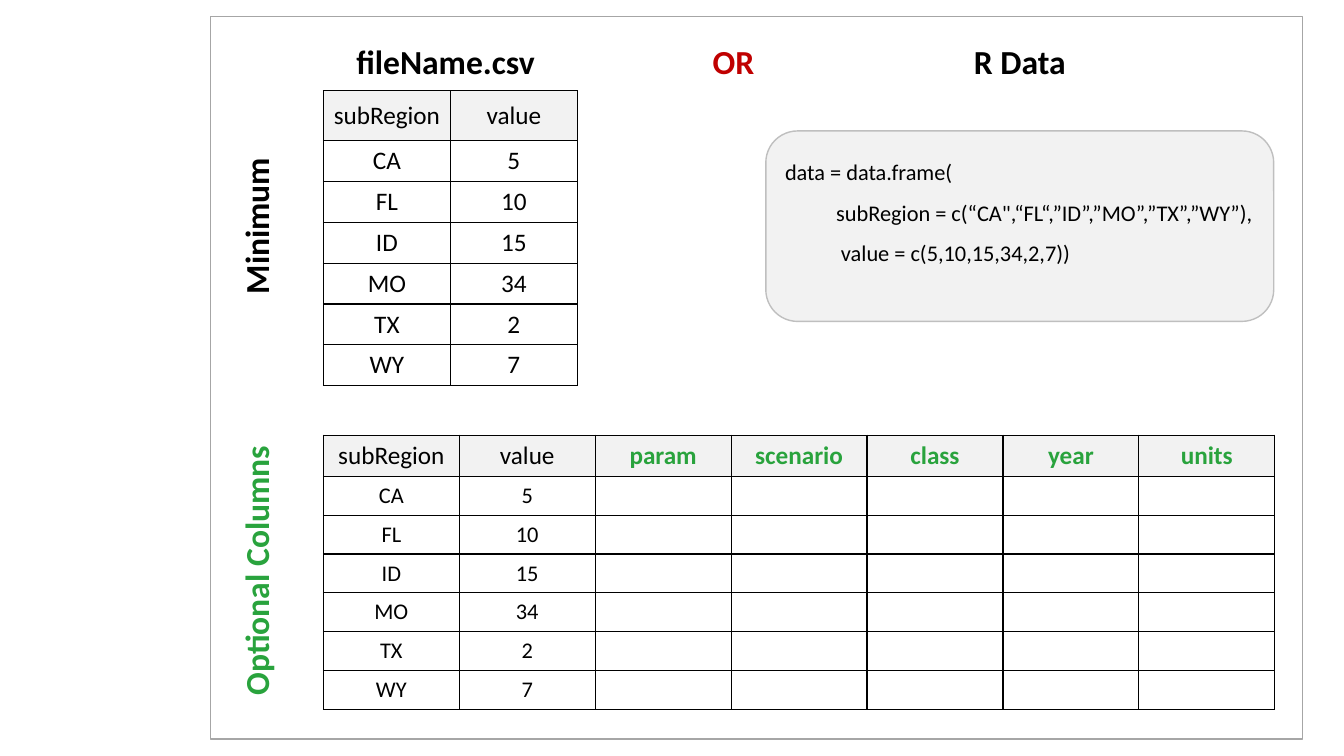
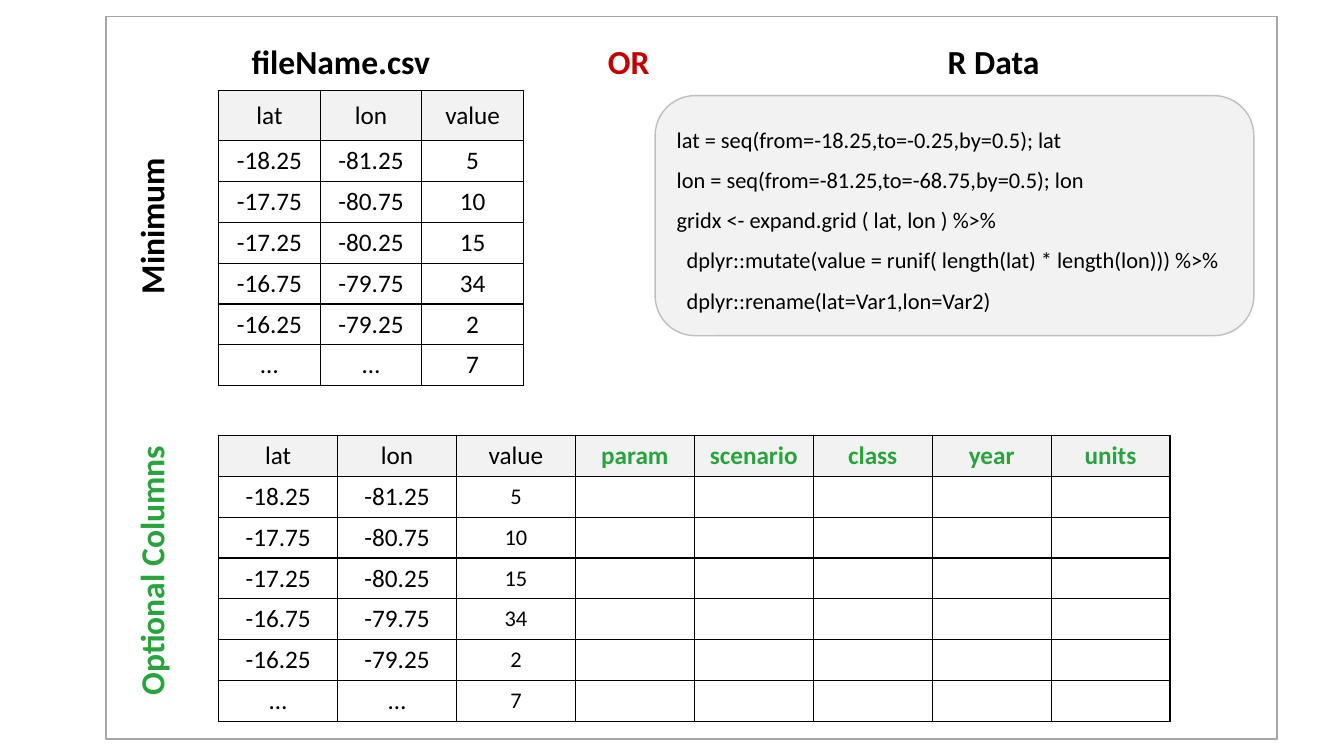
from lxml import etree
from pptx import Presentation
from pptx.dml.color import RGBColor
from pptx.enum.shapes import MSO_SHAPE
from pptx.enum.text import MSO_ANCHOR, MSO_AUTO_SIZE, PP_ALIGN
from pptx.oxml.ns import qn
from pptx.util import Cm, Pt

RECTANGLE = MSO_SHAPE.RECTANGLE
ROUNDED = MSO_SHAPE.ROUNDED_RECTANGLE
TOP = MSO_ANCHOR.TOP
MIDDLE = MSO_ANCHOR.MIDDLE
FIT_SHAPE = MSO_AUTO_SIZE.SHAPE_TO_FIT_TEXT
LEFT = PP_ALIGN.LEFT
CENTER = PP_ALIGN.CENTER

FONT = "Calibri"
BLACK, WHITE, RED, GREEN = "000000", "FFFFFF", "C00000", "29A33D"
PANEL, PANEL_EDGE, FRAME_EDGE = "F2F2F2", "BFBFBF", "A6A6A6"
BORDERS = ("a:lnL", "a:lnR", "a:lnT", "a:lnB")

HEADING = {"size": Pt(24), "bold": True}
CODE = {"size": Pt(16), "bold": False}
LARGE_CELL = {"size": Pt(18), "bold": False}
SMALL_CELL = {"size": Pt(16), "bold": False}
OPTIONAL_CELL = {"size": Pt(18), "bold": True}

FRAME_TOP, FRAME_HEIGHT = 0.41, 18.21
HEADING_WIDTH, HEADING_HEIGHT = 8.28, 1.63
TABLE_INSET = 2.84
HEADER_HEIGHT = 1.25
LARGE_ROW, SMALL_ROW = 1.03, 0.98

VALUES = ["5", "10", "15", "34", "2", "7"]
OPTIONAL_COLUMNS = ["param", "scenario", "class", "year", "units"]

REGIONS = {
    "frame": (5.31, 27.51),
    "keys": {"subRegion": ["CA", "FL", "ID", "MO", "TX", "WY"]},
    "minimum_width": 6.4,
    "r_data_left": 21.56,
    "code_box": (19.3, 3.3, 12.8, 4.8),
    "code": [
        (0, "data = data.frame("),
        (1.29, 'subRegion = c(“CA",“FL“,”ID”,”MO”,”TX”,”WY”),'),
        (1.41, "value = c(5,10,15,34,2,7))"),
    ],
    "key_style": SMALL_CELL,
    "row_height": SMALL_ROW,
}
GRID = {
    "frame": (2.67, 29.51),
    "keys": {
        "lat": ["-18.25", "-17.75", "-17.25", "-16.75", "-16.25", "…"],
        "lon": ["-81.25", "-80.75", "-80.25", "-79.75", "-79.25", "…"],
    },
    "minimum_width": 7.68,
    "r_data_left": 20.9,
    "code_box": (16.51, 2.41, 15.09, 6.05),
    "code": [
        (0, "lat = seq(from=-18.25,to=-0.25,by=0.5); lat"),
        (0, "lon = seq(from=-81.25,to=-68.75,by=0.5); lon"),
        (0, "gridx <- expand.grid ( lat, lon ) %>%"),
        (0.25, "dplyr::mutate(value = runif( length(lat) * length(lon))) %>%"),
        (0.25, "dplyr::rename(lat=Var1,lon=Var2)"),
    ],
    "key_style": LARGE_CELL,
    "row_height": LARGE_ROW,
}


def rgb(color):
    return RGBColor.from_string(color)


def write(paragraph, text, style, color=BLACK, align=CENTER):
    paragraph.alignment = align
    run = paragraph.add_run()
    run.text = text
    run.font.name = FONT
    run.font.color.rgb = rgb(color)
    for attribute, value in style.items():
        setattr(run.font, attribute, value)


def add_heading(slide, text, left, top, width=HEADING_WIDTH, color=BLACK, rotation=0):
    heading = slide.shapes.add_textbox(Cm(left), Cm(top), Cm(width), Cm(HEADING_HEIGHT))
    heading.rotation = rotation
    heading.text_frame.word_wrap = True
    heading.text_frame.auto_size = FIT_SHAPE
    paragraph = heading.text_frame.paragraphs[0]
    paragraph.line_spacing = 1.5
    write(paragraph, text, HEADING, color)


def add_panel(slide, preset, box, edge, fill=None):
    panel = slide.shapes.add_shape(preset, *map(Cm, box))
    panel.shadow.inherit = False
    panel.line.color.rgb = rgb(edge)
    panel.line.width = Pt(1)
    if fill:
        panel.fill.solid()
        panel.fill.fore_color.rgb = rgb(fill)
    else:
        panel.fill.background()
    return panel


def add_code(slide, box, lines):
    frame = add_panel(slide, ROUNDED, box, PANEL_EDGE, PANEL).text_frame
    frame.word_wrap = True
    frame.vertical_anchor = TOP
    for index, (indent, text) in enumerate(lines):
        paragraph = frame.add_paragraph() if index else frame.paragraphs[0]
        paragraph.line_spacing = 1.5
        write(paragraph, text, CODE, align=LEFT)
        paragraph._p.get_or_add_pPr().set("marL", str(Cm(indent)))


def set_borders(cell):
    properties = cell._tc.get_or_add_tcPr()
    for side in BORDERS:
        line = etree.SubElement(properties, qn(side), w=str(Pt(1)))
        solid = etree.SubElement(line, qn("a:solidFill"))
        etree.SubElement(solid, qn("a:srgbClr"), val=BLACK)


def fill_cell(cell, text, style, color, background):
    set_borders(cell)
    cell.fill.solid()
    cell.fill.fore_color.rgb = rgb(background)
    cell.vertical_anchor = MIDDLE
    if text:
        write(cell.text_frame.paragraphs[0], text, style, color)
    else:
        cell.margin_top = cell.margin_bottom = 0


def add_data_table(slide, left, top, width, heights, columns, styles):
    header_height, row_height = heights
    row_count = len(VALUES) + 1
    height = header_height + row_height * len(VALUES)
    table = slide.shapes.add_table(
        row_count, len(columns), Cm(left), Cm(top), Cm(width), Cm(height)
    ).table
    table.first_row = table.horz_banding = False
    for row_index, row in enumerate(table.rows):
        row.height = Cm(row_height if row_index else header_height)
    for column_index, (name, entries) in enumerate(columns.items()):
        table.columns[column_index].width = Cm(width / len(columns))
        optional = name in OPTIONAL_COLUMNS
        header_style = OPTIONAL_CELL if optional else LARGE_CELL
        header_color = GREEN if optional else BLACK
        fill_cell(table.cell(0, column_index), name, header_style, header_color, PANEL)
        for row_index, entry in enumerate(entries, 1):
            style = styles.get(name, LARGE_CELL)
            fill_cell(table.cell(row_index, column_index), entry, style, BLACK, WHITE)


def add_format_slide(deck, content):
    slide = deck.slides.add_slide(deck.slide_layouts[6])
    frame_left, frame_width = content["frame"]
    table_left = frame_left + TABLE_INSET
    required = {**content["keys"], "value": VALUES}
    extended = {**required, **{name: [""] * len(VALUES) for name in OPTIONAL_COLUMNS}}
    styles = {name: content["key_style"] for name in content["keys"]}
    styles["value"] = SMALL_CELL

    add_data_table(slide, table_left, 2.29, content["minimum_width"],
                   (HEADER_HEIGHT, LARGE_ROW), required, {})
    add_heading(slide, "fileName.csv", frame_left + 1.78, FRAME_TOP)
    add_code(slide, content["code_box"], content["code"])
    add_heading(slide, "R Data", content["r_data_left"], FRAME_TOP)
    add_heading(slide, "OR", frame_left + 10.52, FRAME_TOP, 5.31, RED)
    add_data_table(slide, table_left, 10.97, 23.98,
                   (LARGE_ROW, content["row_height"]), extended, styles)
    for text, top, color in (("Minimum", 4.88, BLACK), ("Optional Columns", 13.56, GREEN)):
        add_heading(slide, text, frame_left - 3.33, top, color=color, rotation=270)
    add_panel(slide, RECTANGLE, (frame_left, FRAME_TOP, frame_width, FRAME_HEIGHT), FRAME_EDGE)


def main():
    deck = Presentation()
    deck.slide_width, deck.slide_height = Cm(33.87), Cm(19.05)
    for content in (REGIONS, GRID):
        add_format_slide(deck, content)
    deck.save("out.pptx")


if __name__ == "__main__":
    main()
